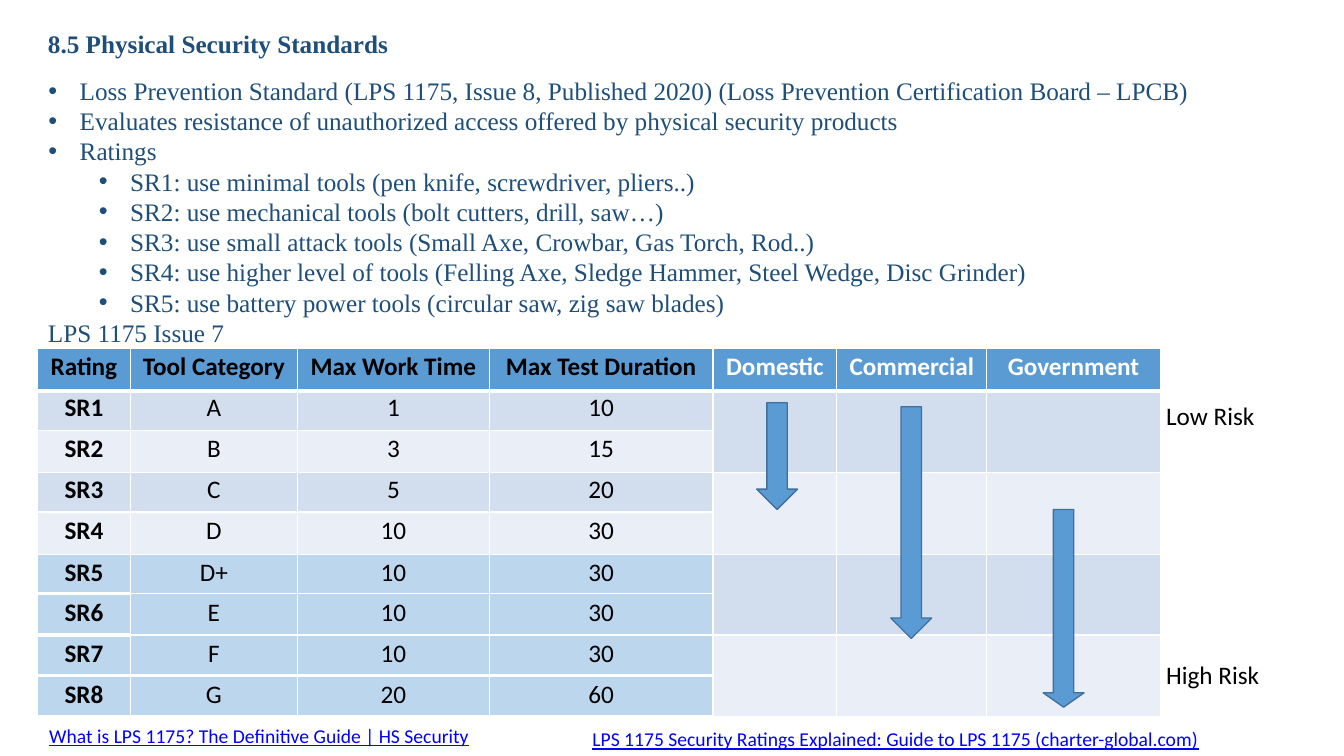
from collections import namedtuple

from lxml.etree import SubElement
from pptx import Presentation
from pptx.dml.color import RGBColor
from pptx.enum.shapes import MSO_SHAPE
from pptx.enum.text import PP_ALIGN
from pptx.oxml.ns import qn
from pptx.util import Cm, Pt

NAVY = RGBColor(0x1F, 0x4E, 0x79)
BLACK = RGBColor(0, 0, 0)
WHITE = RGBColor(0xFF, 0xFF, 0xFF)
LINK_BLUE = RGBColor(0, 0, 0xFF)
HEADER_BLUE = RGBColor(0x5B, 0x9B, 0xD4)
ARROW_EDGE = RGBColor(0x41, 0x70, 0x9C)
BAND_DARK = RGBColor(0xD2, 0xDE, 0xEE)
BAND_LIGHT = RGBColor(0xEA, 0xEE, 0xF7)
HIGH_RATING = RGBColor(0xBC, 0xD6, 0xED)

SERIF, SANS = "Times New Roman", "Calibri"

Box = namedtuple("Box", "left top width height")  # centimetres

TITLE = "8.5 Physical Security Standards"
POINTS = [
    (0, "Loss Prevention Standard (LPS 1175, Issue 8, Published 2020) "
        "(Loss Prevention Certification Board – LPCB)"),
    (0, "Evaluates resistance of unauthorized access offered by physical security products"),
    (0, "Ratings"),
    (1, "SR1: use minimal tools (pen knife, screwdriver, pliers..)"),
    (1, "SR2: use mechanical tools (bolt cutters, drill, saw…)"),
    (1, "SR3: use small attack tools (Small Axe, Crowbar, Gas Torch, Rod..)"),
    (1, "SR4: use higher level of tools (Felling Axe, Sledge Hammer, Steel Wedge, Disc Grinder)"),
    (1, "SR5: use battery power tools (circular saw, zig saw blades)"),
]
TABLE_CAPTION = "LPS 1175 Issue 7"

HEADINGS = ["Rating", "Tool Category", "Max Work Time", "Max Test Duration",
            "Domestic", "Commercial", "Government"]
RATINGS = [
    ("SR1", "A", "1", "10"),
    ("SR2", "B", "3", "15"),
    ("SR3", "C", "5", "20"),
    ("SR4", "D", "10", "30"),
    ("SR5", "D+", "10", "30"),
    ("SR6", "E", "10", "30"),
    ("SR7", "F", "10", "30"),
    ("SR8", "G", "20", "60"),
]
COLUMN_WIDTHS = [2.33, 4.22, 4.83, 5.64, 3.12, 3.78, 4.37]
ROW_HEIGHTS = [1.07, 0.99, 1.07, 0.99, 1.07, 0.99, 1.04, 1.02, 1.04]
TOP_MARGINS = [0.08, 0.05, 0.08, 0.05, 0.08, 0.08, 0.1, 0.1, 0.1]
FIRST_SECTOR = 4  # columns from here on hold the sector arrows

# Sector arrows: offset in the table, height, head length over width
ARROWS = [
    (18.12, 1.37, 2.69, 0.5),
    (21.5, 1.47, 5.84, 0.5),
    (25.34, 4.06, 4.98, 0.35),
]
ARROW_WIDTH = 1.03


def write(paragraph, text, font=SANS, size=18, color=BLACK, bold=False,
          underline=False, align=PP_ALIGN.LEFT):
    paragraph.alignment = align
    run = paragraph.add_run()
    run.text = text
    run.font.name = font
    run.font.size = Pt(size)
    run.font.color.rgb = color
    run.font.bold = bold
    run.font.underline = underline


def add_frame(slide, box, left=0, top=0, right=0, bottom=0):
    frame = slide.shapes.add_textbox(*map(Cm, box)).text_frame
    frame.word_wrap = True
    frame.margin_left, frame.margin_top = Cm(left), Cm(top)
    frame.margin_right, frame.margin_bottom = Cm(right), Cm(bottom)
    return frame


def indent(paragraph, margin, hanging=0.0, bullet=False):
    properties = paragraph._p.get_or_add_pPr()
    properties.set("marL", str(Cm(margin)))
    properties.set("indent", str(-Cm(hanging)))
    if bullet:
        SubElement(properties, qn("a:buFont"), typeface="Arial")
        SubElement(properties, qn("a:buChar"), char="•")


def add_standards_text(slide, box):
    frame = add_frame(slide, box, top=0.46)
    title = frame.paragraphs[0]
    indent(title, 0.22)
    write(title, TITLE, font=SERIF, color=NAVY, bold=True)
    for level, text in POINTS:
        point = frame.add_paragraph()
        point.level = level
        indent(point, 1.02 + 1.27 * level, 0.79, bullet=True)
        write(point, text, font=SERIF, color=NAVY)
    frame.paragraphs[1].space_before = Pt(12)
    caption = frame.add_paragraph()
    indent(caption, 0.22)
    write(caption, TABLE_CAPTION, font=SERIF, color=NAVY)


def rule_below(row, column):
    """Width in points of the line under a cell."""
    if row == 0:
        return 3
    if column == 0:
        return {5: 2.25, 6: 3, 7: 3, 8: 3}.get(row, 1)
    if column < FIRST_SECTOR:
        return {6: 2.25, 7: 2.25, 8: 3}.get(row, 1)
    return 1


def cell_fill(row, column):
    if row == 0:
        return HEADER_BLUE
    if column >= FIRST_SECTOR:
        return BAND_LIGHT if (row - 1) // 2 % 2 else BAND_DARK
    if row >= 5:
        return HIGH_RATING
    return BAND_DARK if row % 2 else BAND_LIGHT


def format_cell(cell, row, column):
    cell.margin_left = cell.margin_right = cell.margin_bottom = 0
    cell.margin_top = Cm(TOP_MARGINS[row])
    properties = cell._tc.get_or_add_tcPr()
    above = rule_below(row - 1, column) if row else 1
    widths = {"lnL": 1, "lnR": 1, "lnT": above, "lnB": rule_below(row, column)}
    for side, width in widths.items():
        line = SubElement(properties, qn(f"a:{side}"), w=str(Pt(width)))
        SubElement(SubElement(line, qn("a:solidFill")), qn("a:srgbClr"), val=str(WHITE))
    cell.fill.solid()
    cell.fill.fore_color.rgb = cell_fill(row, column)


def add_ratings_table(slide, box):
    table = slide.shapes.add_table(len(ROW_HEIGHTS), len(COLUMN_WIDTHS), *map(Cm, box)).table
    for column, width in zip(table.columns, COLUMN_WIDTHS):
        column.width = Cm(width)
    for row, height in zip(table.rows, ROW_HEIGHTS):
        row.height = Cm(height)
    for row, texts in enumerate([HEADINGS, *RATINGS]):
        for column in range(len(HEADINGS)):
            cell = table.cell(row, column)
            format_cell(cell, row, column)
            if column < len(texts):
                is_sector = column >= FIRST_SECTOR
                write(cell.text_frame.paragraphs[0], texts[column],
                      color=WHITE if is_sector else BLACK,
                      bold=row == 0 or column == 0, align=PP_ALIGN.CENTER)
    # Each sector cell covers two ratings
    for row in range(1, len(RATINGS), 2):
        for column in range(FIRST_SECTOR, len(HEADINGS)):
            table.cell(row, column).merge(table.cell(row + 1, column))


def add_sector_arrows(slide, box):
    for left, top, height, head in ARROWS:
        arrow = slide.shapes.add_shape(MSO_SHAPE.DOWN_ARROW, Cm(box.left + left),
                                       Cm(box.top + top), Cm(ARROW_WIDTH), Cm(height))
        arrow.adjustments[0] = 0.5
        arrow.adjustments[1] = head
        arrow.shadow.inherit = False
        arrow.fill.solid()
        arrow.fill.fore_color.rgb = HEADER_BLUE
        arrow.line.color.rgb = ARROW_EDGE
        arrow.line.width = Pt(0.96)


def add_risk_scale(slide, box):
    label_height = 0.84
    for text, top in [("Low Risk", box.top),
                      ("High Risk", box.top + box.height - label_height)]:
        frame = add_frame(slide, Box(box.left, top, box.width, label_height), left=0.03, top=0.03)
        write(frame.paragraphs[0], text)


def add_source(slide, box, text):
    frame = add_frame(slide, box, left=0.25, top=0.13, right=0.25, bottom=0.13)
    write(frame.paragraphs[0], text, size=14, color=LINK_BLUE, underline=True)


def main():
    presentation = Presentation()
    presentation.slide_width, presentation.slide_height = Cm(33.87), Cm(19.05)
    slide = presentation.slides.add_slide(presentation.slide_layouts[6])

    table_box = Box(0.95, 8.78, 28.29, 9.28)
    add_standards_text(slide, Box(0.99, 0.25, 30.61, 8.5))
    add_ratings_table(slide, table_box)
    add_risk_scale(slide, Box(29.36, 10.06, 2.42, 7.37))
    add_sector_arrows(slide, table_box)
    add_source(slide, Box(0.99, 18.11, 15.65, 0.86),
               "What is LPS 1175? The Definitive Guide | HS Security")
    add_source(slide, Box(14.68, 18.19, 16.92, 0.86),
               "LPS 1175 Security Ratings Explained: Guide to LPS 1175 (charter-global.com)")
    presentation.save("out.pptx")


if __name__ == "__main__":
    main()
